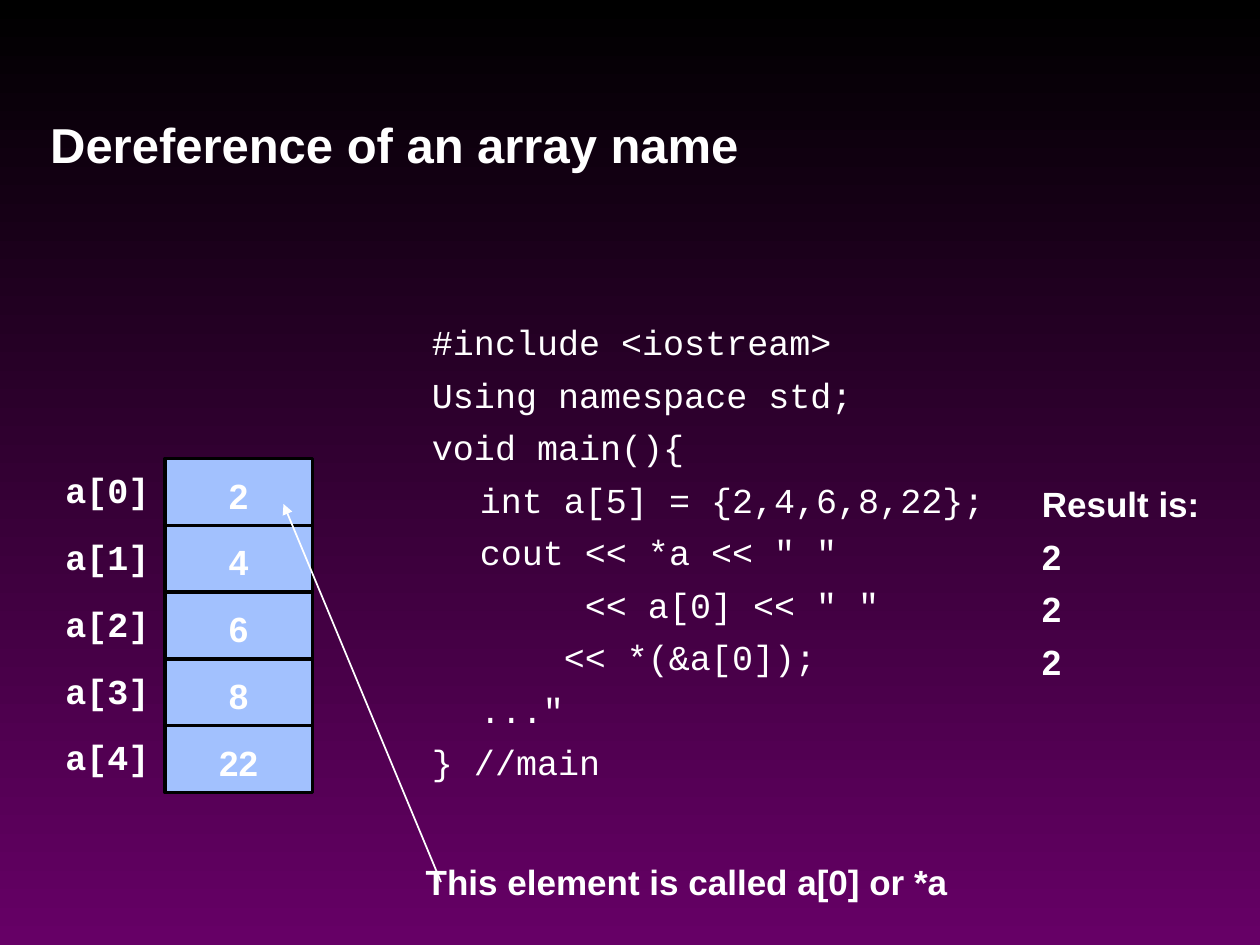
from lxml import etree
from pptx import Presentation
from pptx.dml.color import RGBColor
from pptx.enum.shapes import MSO_CONNECTOR, MSO_SHAPE
from pptx.enum.text import MSO_ANCHOR, PP_ALIGN
from pptx.oxml.ns import qn
from pptx.util import Inches, Pt

RECT, NOTE = MSO_SHAPE.RECTANGLE, MSO_SHAPE.FOLDED_CORNER
LEFT, CENTER = PP_ALIGN.LEFT, PP_ALIGN.CENTER
TOP, MIDDLE = MSO_ANCHOR.TOP, MSO_ANCHOR.MIDDLE
STRAIGHT = MSO_CONNECTOR.STRAIGHT

COLORS = {"top": "000000", "base": "660066", "cell": "A2C1FE",
          "edge": "000000", "text": "FFFFFF"}
SANS, MONO = "Arial", "Courier New"

ITEMS = [2, 4, 6, 8, 22]
ROW_TOP, ROW = 3.64, 0.53
INDENT = 0.38

CODE = """#include <iostream>
Using namespace std;
void main(){
\tint a[5] = {2,4,6,8,22};
\tcout << *a << " "
\t     << a[0] << " "
\t\t << *(&a[0]);
\t..."
} //main""".split("\n")


def color(name):
    return RGBColor.from_string(COLORS[name])


def box(at):
    return [Inches(n) for n in at]


def write(shape, lines, face=SANS, size=20, bold=True, align=LEFT,
          anchor=TOP, wrap=True, pad=0.08):
    """Fill a shape with one paragraph per line; pad is the top inset."""
    frame = shape.text_frame
    frame.word_wrap = wrap
    frame.vertical_anchor = anchor
    frame.margin_top = Inches(pad)
    for i, line in enumerate(lines):
        para = frame.paragraphs[0] if i == 0 else frame.add_paragraph()
        para.text = line
        para.alignment = align
        if i:
            para.space_before = Pt(6)
        if "\t" in "".join(lines):
            set_tabs(para)
        font = para.font
        font.name, font.size, font.bold = face, Pt(size), bold
        font.color.rgb = color("text")


def add_text(slide, at, lines, **style):
    write(slide.shapes.add_textbox(*box(at)), lines, **style)


def set_tabs(para):
    """Hang the paragraph and put a tab stop at every inch."""
    props = para._p.get_or_add_pPr()
    props.set("marL", str(Inches(INDENT)))
    props.set("indent", str(-Inches(INDENT)))
    stops = etree.SubElement(props, qn("a:tabLst"))
    for inch in range(8):
        etree.SubElement(stops, qn("a:tab"), pos=str(Inches(inch)), algn="l")


def add_code(slide, at):
    note = slide.shapes.add_shape(NOTE, *box(at))
    note.shadow.inherit = False
    note.fill.background()
    note.line.fill.background()
    write(note, CODE, face=MONO, bold=False, anchor=MIDDLE, wrap=False,
          pad=0.23)


def add_cell(slide, at, value):
    cell = slide.shapes.add_shape(RECT, *box(at))
    cell.shadow.inherit = False
    cell.fill.solid()
    cell.fill.fore_color.rgb = color("cell")
    cell.line.color.rgb = color("edge")
    cell.line.width = Pt(2)
    write(cell, [str(value)], align=CENTER, anchor=MIDDLE, pad=0.1)


def add_array(slide):
    for i, value in enumerate(ITEMS):
        top = ROW_TOP + i * ROW
        add_cell(slide, (1.31, top, 1.17, ROW), value)
        add_text(slide, (0.42, top, 0.9, 0.43), [f"a[{i}]"], face=MONO)


def add_arrow(slide, start, end):
    arrow = slide.shapes.add_connector(STRAIGHT, *box(start + end))
    arrow.line.color.rgb = color("text")
    arrow.line.width = Pt(1)
    props = arrow._element.spPr
    etree.SubElement(props.find(qn("a:ln")), qn("a:tailEnd"), type="triangle")
    etree.SubElement(props, qn("a:effectLst"))


def paint(slide):
    fill = slide.background.fill
    fill.gradient()
    fill.gradient_angle = 270
    for stop, name, place in zip(fill.gradient_stops, ("top", "base"), (0, 1)):
        stop.color.rgb = color(name)
        stop.position = place


def main():
    deck = Presentation()
    deck.slide_width, deck.slide_height = Inches(10), Inches(7.5)
    slide = deck.slides.add_slide(deck.slide_layouts[6])
    paint(slide)
    add_text(slide, (0.3, 0.83, 6.41, 0.57), ["Dereference of an array name"],
             size=28)
    add_code(slide, (3.33, 2.83, 4.25, 3.5))
    add_text(slide, (8.17, 3.75, 1.6, 1.7), ["Result is:", "2", "2", "2"])
    add_array(slide)
    add_text(slide, (3.28, 6.75, 5.09, 0.44),
             ["This element is called a[0] or *a"])
    add_arrow(slide, (3.5, 7), (2.25, 4))
    deck.save("out.pptx")


if __name__ == "__main__":
    main()
